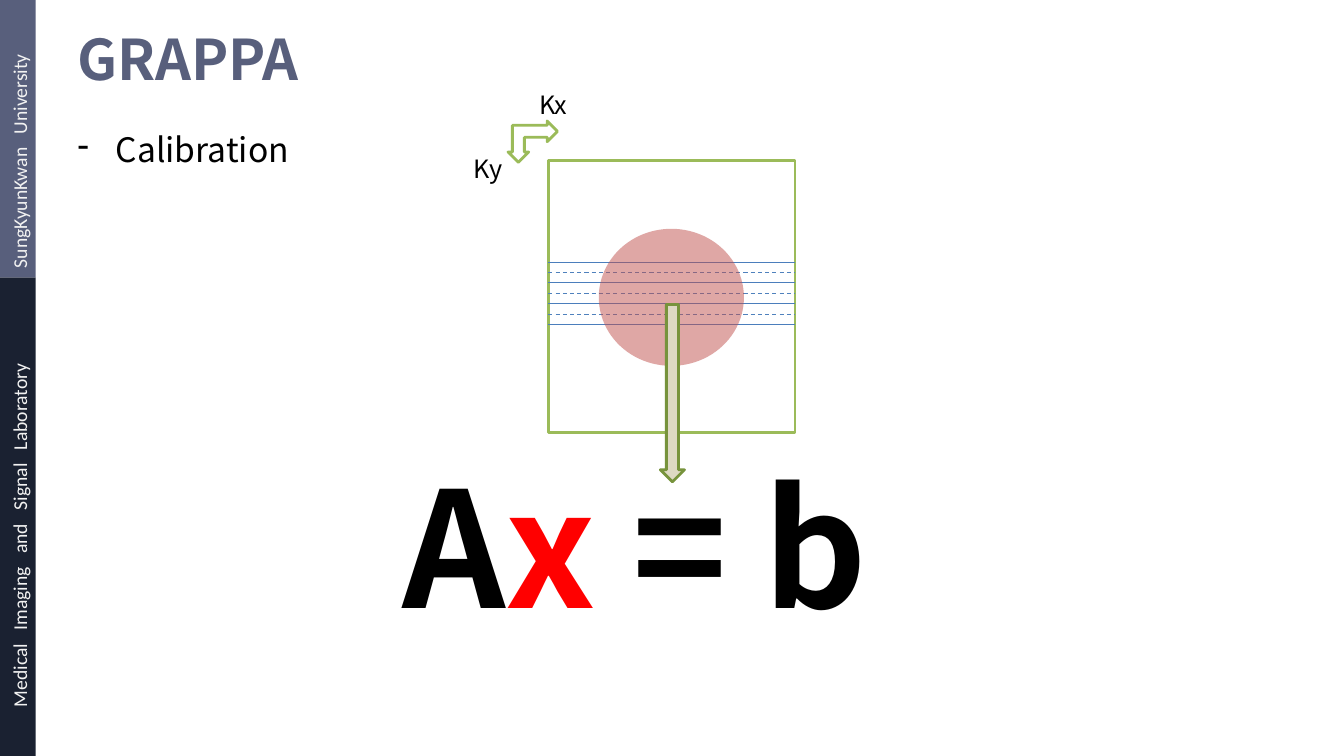
import pptx
import pptx.dml.color
import pptx.enum.dml
import pptx.enum.shapes
import pptx.enum.text
import pptx.oxml
import pptx.oxml.ns
import pptx.util

COLORS = {
    "navy": "1A2131", "slate": "585F7C", "label": "F2F2F2",
    "black": "000000", "red": "FF0000", "frame": "9BBB59",
    "solid": "4B7EBC", "dashed": "4F81BD", "disc": "C0504D",
    "arrow_fill": "DDD9C3", "arrow_line": "77933C",
}
SANS = "Noto Sans CJK KR"
SHAPES = pptx.enum.shapes.MSO_SHAPE
WIDTH = pptx.util.Inches(13.33)
HEIGHT = pptx.util.Inches(7.5)
K_LEFT, K_TOP, K_WIDTH, K_HEIGHT = 40.8, 21.2, 18.35, 36


def color(name):
    return pptx.dml.color.RGBColor.from_string(COLORS[name])


def across(percent):
    return round(WIDTH * percent / 100)


def down(percent):
    return round(HEIGHT * percent / 100)


def area(left, top, width, height):
    """Turn percentages of the slide into lengths."""
    return across(left), down(top), across(width), down(height)


def add_text(slide, box, pieces, size=18, font=SANS, bold=False, bullet=None,
             word_gap=0, middle=False):
    """Add one paragraph made of (text, colour) pieces."""
    text_box = slide.shapes.add_textbox(*box)
    frame = text_box.text_frame
    frame.word_wrap = True
    if middle:
        frame.vertical_anchor = pptx.enum.text.MSO_ANCHOR.MIDDLE
    paragraph = frame.paragraphs[0]
    if bullet:
        properties = paragraph._p.get_or_add_pPr()
        indent = pptx.util.Inches(0.38)
        properties.set("marL", str(indent))
        properties.set("indent", str(-indent))
        mark = pptx.oxml.parse_xml(
            f'<a:buChar {pptx.oxml.ns.nsdecls("a")} char="{bullet}"/>')
        properties.append(mark)
    for text, color_name in pieces:
        run = paragraph.add_run()
        run.text = text
        run.font.name = font
        run.font.size = pptx.util.Pt(size)
        run.font.bold = bold
        run.font.color.rgb = color(color_name)
        if word_gap and text == " ":
            run._r.get_or_add_rPr().set("spc", str(word_gap))
    return text_box


def add_figure(slide, kind, box, fill=None, line=None, opacity=None):
    shape = slide.shapes.add_shape(kind, *box)
    shape.shadow.inherit = False
    if fill:
        shape.fill.solid()
        shape.fill.fore_color.rgb = color(fill)
    else:
        shape.fill.background()
    if opacity:
        tone = shape.fill._xPr.find(".//" + pptx.oxml.ns.qn("a:srgbClr"))
        tone.append(pptx.oxml.parse_xml(
            f'<a:alpha {pptx.oxml.ns.nsdecls("a")} val="{opacity * 1000}"/>'))
    if line:
        shape.line.color.rgb = color(line)
        shape.line.width = pptx.util.Pt(2)
    else:
        shape.line.fill.background()
    return shape


def add_sampling_line(slide, top, dashed):
    connector = slide.shapes.add_connector(
        pptx.enum.shapes.MSO_CONNECTOR.STRAIGHT,
        across(K_LEFT), down(top), across(K_LEFT + K_WIDTH), down(top))
    connector.line.width = pptx.util.Pt(0.75)
    connector.line.color.rgb = color("dashed" if dashed else "solid")
    if dashed:
        connector.line.dash_style = pptx.enum.dml.MSO_LINE.DASH
    connector._element.spPr.append(pptx.oxml.parse_xml(
        f'<a:effectLst {pptx.oxml.ns.nsdecls("a")}/>'))


def add_side_label(slide, words, center, length):
    """Add a label that reads upwards, with wide gaps between words."""
    width, height = down(length), across(2.55)
    box = (across(1.46) - width // 2, down(center) - height // 2, width, height)
    pieces = [(words[0], "label")]
    for word in words[1:]:
        pieces += [(" ", "label"), (word, "label")]
    label = add_text(slide, box, pieces, size=14, font="Calibri", word_gap=633)
    label.rotation = 270


def add_sidebar(slide):
    split = 36.7
    add_figure(slide, SHAPES.RECTANGLE, area(0, split, 2.66, 100 - split), "navy")
    add_figure(slide, SHAPES.RECTANGLE, area(0, 0, 2.66, split), "slate")
    add_side_label(slide, ["Medical", "Imaging", "and", "Signal", "Laboratory"],
                   62.53, 64.67)
    add_side_label(slide, ["SungKyunKwan", "University"], 19.4, 34.8)


def add_k_space(slide):
    add_figure(slide, SHAPES.RECTANGLE, area(K_LEFT, K_TOP, K_WIDTH, K_HEIGHT),
               line="frame")
    for index in range(7):
        add_sampling_line(slide, 34.67 + 1.38 * index, dashed=index % 2 == 1)
    add_figure(slide, SHAPES.OVAL, area(44.55, 30.27, 10.8, 18.13), "disc",
               opacity=50)
    add_figure(slide, SHAPES.DOWN_ARROW, area(49.13, 40.27, 1.8, 23.47),
               "arrow_fill", "arrow_line")

    # Axis directions
    axes = add_figure(slide, SHAPES.LEFT_UP_ARROW, area(37.8, 16, 3.68, 5.47),
                      line="frame")
    axes.adjustments[0] = 0.29
    axes.rotation = 180
    for name, left, top in (("Kx", 39.38, 11.2), ("Ky", 34.5, 19.6)):
        add_text(slide, area(left, top, 4.2, 5.33), [(name, "black")])


def main():
    presentation = pptx.Presentation()
    presentation.slide_width = WIDTH
    presentation.slide_height = HEIGHT
    slide = presentation.slides.add_slide(presentation.slide_layouts[6])

    add_sidebar(slide)

    # Heading and bullet
    add_text(slide, area(5.03, 3.73, 91.73, 8), [("GRAPPA", "slate")],
             size=40, bold=True, middle=True)
    add_text(slide, area(5.03, 16.4, 93.6, 81.6), [("Calibration", "black")],
             size=24, bullet="-")

    # Equation and diagram
    add_text(slide, area(29.18, 58.53, 41.63, 26.67),
             [("A", "black"), ("x", "red"), (" = b", "black")],
             size=115, bold=True)
    add_k_space(slide)

    presentation.save("out.pptx")


if __name__ == "__main__":
    main()
